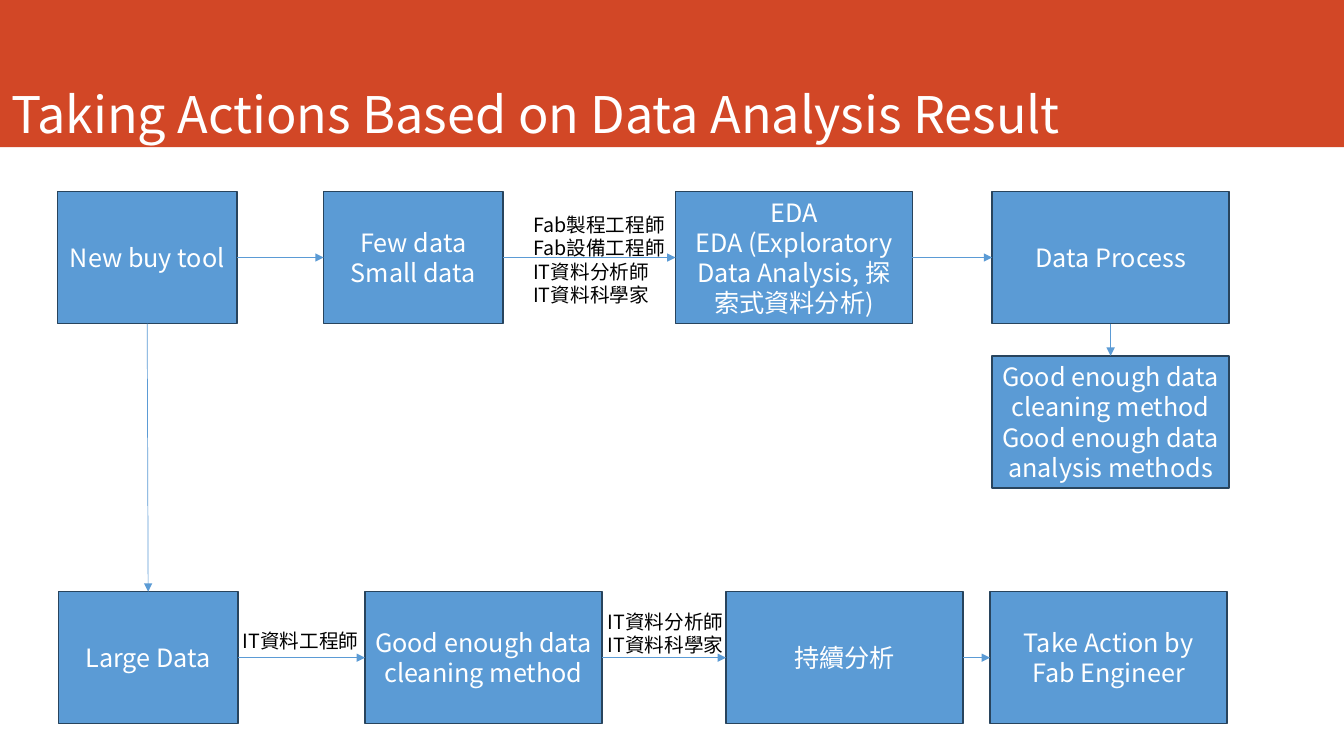
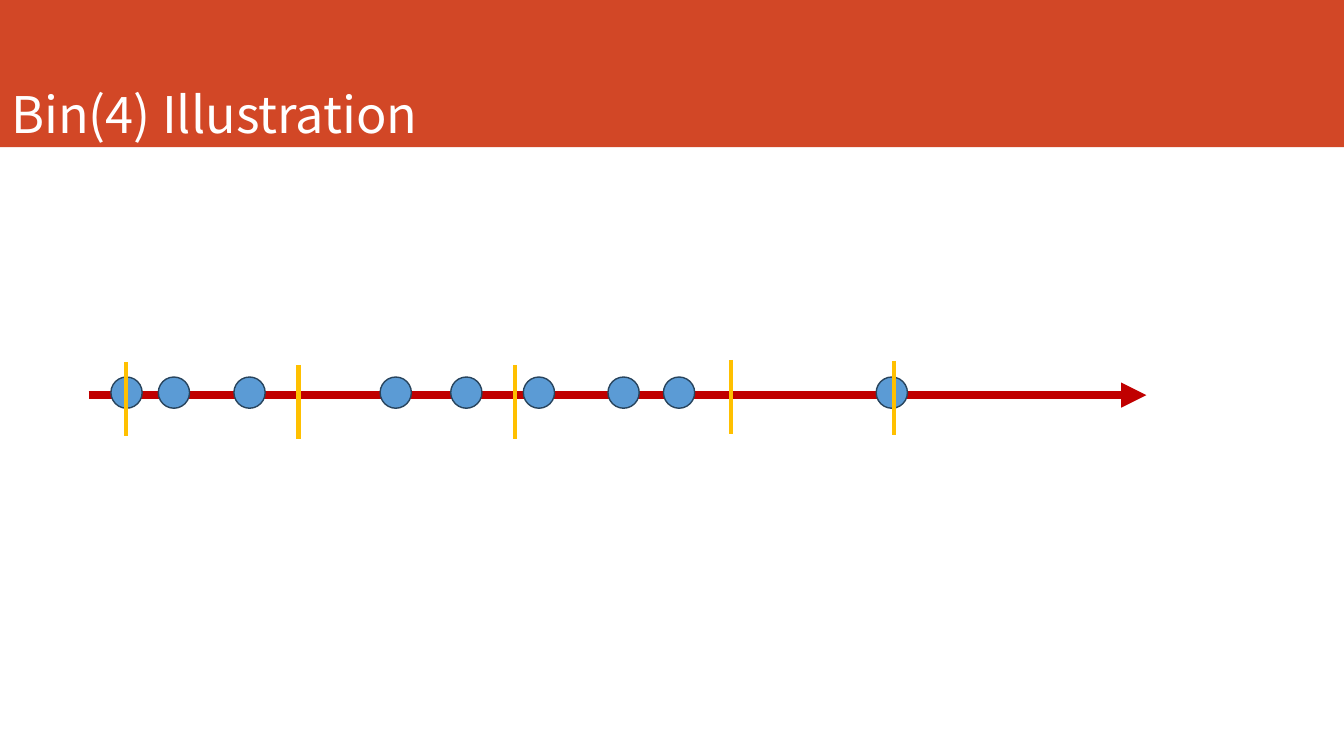
from typing import NamedTuple

from lxml import etree
from pptx import Presentation
from pptx.dml.color import RGBColor
from pptx.enum.shapes import MSO_CONNECTOR, MSO_SHAPE
from pptx.enum.text import MSO_ANCHOR, MSO_AUTO_SIZE, PP_ALIGN
from pptx.oxml.ns import qn
from pptx.util import Inches, Pt

LINE = MSO_CONNECTOR.STRAIGHT
RECT, OVAL = MSO_SHAPE.RECTANGLE, MSO_SHAPE.OVAL
LEFT, CENTER = PP_ALIGN.LEFT, PP_ALIGN.CENTER
TOP, MIDDLE, BOTTOM = MSO_ANCHOR.TOP, MSO_ANCHOR.MIDDLE, MSO_ANCHOR.BOTTOM

FONT = "Noto Sans CJK TC"
WHITE, BLACK = "FFFFFF", "000000"
BRAND, BLUE, EDGE = "D24726", "5B9BD5", "28445D"
RED, GOLD = "C00000", "FFC000"

WIDTH, HEIGHT = 13.33, 7.5
BAND = 1.46
ROWS = (1.9, 3.53, 5.87)
SMALL, LARGE, TALL = 1.78, 2.35, 1.31
SITES = {"top": 0, "left": 1, "bottom": 2, "right": 3}


class Node(NamedTuple):
    lines: tuple[str, ...]
    left: float
    row: int
    width: float


class Link(NamedTuple):
    start: str
    end: str
    down: bool = False


class Label(NamedTuple):
    lines: tuple[str, ...]
    left: float
    top: float
    width: float


CLEAN = "Good enough data cleaning method"
NODES = {
    "new": Node(("New buy tool",), 0.57, 0, SMALL),
    "few": Node(("Few data", "Small data"), 3.21, 0, SMALL),
    "eda": Node(("EDA", "EDA (Exploratory Data Analysis, 探索式資料分析)"), 6.7, 0, LARGE),
    "process": Node(("Data Process",), 9.84, 0, LARGE),
    "methods": Node((CLEAN, "Good enough data analysis methods"), 9.84, 1, LARGE),
    "large": Node(("Large Data",), 0.58, 2, SMALL),
    "clean": Node((CLEAN,), 3.62, 2, LARGE),
    "study": Node(("持續分析",), 7.2, 2, LARGE),
    "act": Node(("Take Action by Fab Engineer",), 9.82, 2, LARGE),
}
LINKS = (
    Link("new", "few"),
    Link("few", "eda"),
    Link("eda", "process"),
    Link("process", "methods", down=True),
    Link("new", "large", down=True),
    Link("large", "clean"),
    Link("clean", "study"),
    Link("study", "act"),
)
STAFF = ("IT資料分析師", "IT資料科學家")
LABELS = (
    Label(("Fab製程工程師", "Fab設備工程師", *STAFF), 5.19, 2.06, 1.51),
    Label(("IT資料工程師",), 2.31, 6.19, 1.35),
    Label(STAFF, 5.93, 6, 1.42),
)

AXIS = (0.88, 11.37, 3.92)
DOT, DOT_TOP = 0.31, 3.74
DOTS = (1.1, 1.57, 2.32, 3.77, 4.47, 5.19, 6.03, 6.58, 8.69)
TICK = 0.74
TICKS = ((1.25, 3.59), (2.96, 3.62), (5.11, 3.62), (7.25, 3.57), (8.87, 3.58))


def color(code: str) -> RGBColor:
    return RGBColor.from_string(code)


def write(frame, lines, size: int, tint: str, align=LEFT, anchor=TOP) -> None:
    frame.word_wrap = True
    frame.auto_size = MSO_AUTO_SIZE.NONE
    frame.vertical_anchor = anchor
    frame.text = "\n".join(lines)
    for par in frame.paragraphs:
        par.alignment = align
        font = par.font
        font.name, font.size = FONT, Pt(size)
        font.color.rgb = color(tint)
        for run in par.runs:
            east = etree.SubElement(run.font._element, qn("a:ea"))
            east.set("typeface", FONT)


def add_block(slide, kind, left, top, width, height, fill=BLUE, edge=EDGE):
    block = slide.shapes.add_shape(kind, *map(Inches, (left, top, width, height)))
    block.shadow.inherit = False
    block.fill.solid()
    block.fill.fore_color.rgb = color(fill)
    if edge:
        block.line.color.rgb = color(edge)
        block.line.width = Pt(1)
    else:
        block.line.fill.background()
    return block


def add_line(slide, start, end, tint: str, weight: float, arrow: bool = False):
    line = slide.shapes.add_connector(LINE, *map(Inches, (*start, *end)))
    line.line.color.rgb = color(tint)
    line.line.width = Pt(weight)
    if arrow:
        etree.SubElement(line.line._get_or_add_ln(), qn("a:tailEnd")).set("type", "triangle")
    etree.SubElement(line._element.spPr, qn("a:effectLst"))
    return line


def add_slide(deck, title: str):
    slide = deck.slides.add_slide(deck.slide_layouts.get_by_name("Title Only"))
    head = slide.shapes.title
    head.left, head.top, head.width, head.height = map(Inches, (0.01, 0.15, WIDTH - 0.01, 1.32))
    write(head.text_frame, (title,), 36, WHITE, anchor=BOTTOM)
    return slide


def add_band(slide) -> None:
    """Place the title band on the layout, behind every title."""
    band = add_block(slide, RECT, 0, 0, WIDTH, BAND, BRAND, None)
    slide.slide_layout.shapes.element.insert(2, band._element)


def draw_flow(slide) -> None:
    blocks = {}
    for key, node in NODES.items():
        block = add_block(slide, RECT, node.left, ROWS[node.row], node.width, TALL)
        write(block.text_frame, node.lines, 18, WHITE, CENTER, MIDDLE)
        blocks[key] = block
    for link in LINKS:
        line = add_line(slide, (0, 0), (1, 1), BLUE, 0.5, arrow=True)
        exit, entry = ("bottom", "top") if link.down else ("right", "left")
        line.begin_connect(blocks[link.start], SITES[exit])
        line.end_connect(blocks[link.end], SITES[entry])
    for label in LABELS:
        height = 0.1 + 0.24 * len(label.lines)
        box = slide.shapes.add_textbox(*map(Inches, (label.left, label.top, label.width, height)))
        write(box.text_frame, label.lines, 14, BLACK)


def draw_bins(slide) -> None:
    start, end, level = AXIS
    add_line(slide, (start, level), (end, level), RED, 6, arrow=True)
    for left in DOTS:
        add_block(slide, OVAL, left, DOT_TOP, DOT, DOT)
    for left, top in TICKS:
        add_line(slide, (left, top), (left, top + TICK), GOLD, 3)


def main() -> None:
    deck = Presentation()
    deck.slide_width, deck.slide_height = Inches(WIDTH), Inches(HEIGHT)
    flow = add_slide(deck, "Taking Actions Based on Data Analysis Result")
    add_band(flow)
    draw_flow(flow)
    draw_bins(add_slide(deck, "Bin(4) Illustration"))
    deck.save("out.pptx")


if __name__ == "__main__":
    main()
